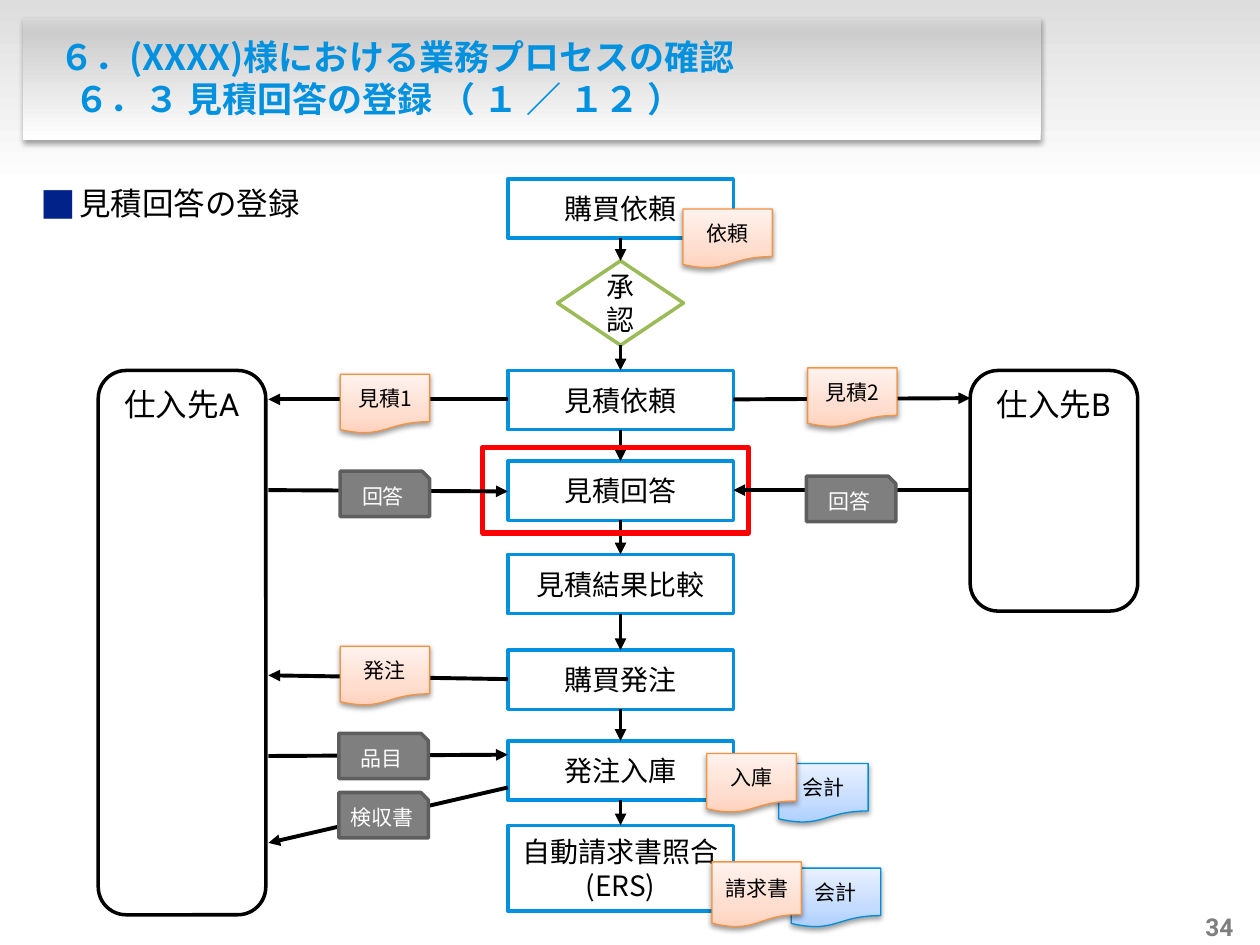
from lxml import etree
from pptx import Presentation
from pptx.dml.color import RGBColor
from pptx.enum.shapes import MSO_CONNECTOR, MSO_SHAPE
from pptx.enum.text import MSO_ANCHOR, MSO_AUTO_SIZE, PP_ALIGN
from pptx.oxml.ns import qn
from pptx.util import Inches, Pt

RECT, ROUND = MSO_SHAPE.RECTANGLE, MSO_SHAPE.ROUNDED_RECTANGLE
DIAMOND, DOC = MSO_SHAPE.FLOWCHART_DECISION, MSO_SHAPE.FLOWCHART_DOCUMENT
SNIP, STRAIGHT = MSO_SHAPE.SNIP_1_RECTANGLE, MSO_CONNECTOR.STRAIGHT
LEFT, CENTER, RIGHT = PP_ALIGN.LEFT, PP_ALIGN.CENTER, PP_ALIGN.RIGHT
TOP, MIDDLE, BOTTOM = MSO_ANCHOR.TOP, MSO_ANCHOR.MIDDLE, MSO_ANCHOR.BOTTOM
NO_FIT = MSO_AUTO_SIZE.NONE

BLACK, WHITE = RGBColor(0, 0, 0), RGBColor(255, 255, 255)
BLUE, NAVY = RGBColor(0x01, 0x91, 0xDE), RGBColor(0x00, 0x22, 0x89)
GREEN, RED = RGBColor(0x9B, 0xBB, 0x59), RGBColor(255, 0, 0)
GRAY, DARK = RGBColor(0x7F, 0x7F, 0x7F), RGBColor(0x5E, 0x5E, 0x5E)
ORANGE, SKY = RGBColor(0xF6, 0x92, 0x40), RGBColor(0x00, 0x8E, 0xDA)
PEACH_STOPS = [(0, "FFD2BD"), (35, "FFDED0"), (100, "FFF2ED")]
SKY_STOPS = [(0, "ADCFFF"), (35, "C5DCFF"), (100, "E9F1FF")]
BACK_STOPS = [(0, "DDDDDD"), (100, "FFFFFF")]
BANNER_STOPS = [(0, "FFFFFF"), (89, "CCCCCC"), (100, "D9D9D9")]
JP, LATIN = "Noto Sans CJK JP", "Roboto"


def node(parent, tag, **attrs):
    """Append a drawing element and return it."""
    return etree.SubElement(parent, qn("a:" + tag), {k: str(v) for k, v in attrs.items()})


def write(tf, *paras, size=16, color=BLACK, bold=None, align=CENTER, anchor=MIDDLE,
          margins=(0.1, 0.05, 0.1, 0.05), wrap=True):
    """Fill a text frame with paragraphs, each a list of (text, font) runs."""
    tf.auto_size, tf.word_wrap, tf.vertical_anchor = NO_FIT, wrap, anchor
    tf.margin_left, tf.margin_top, tf.margin_right, tf.margin_bottom = map(Inches, margins)
    for i, runs in enumerate(paras):
        p = tf.paragraphs[0] if i == 0 else tf.add_paragraph()
        p.alignment = align
        for text, font in runs:
            r = p.add_run()
            r.text = text
            r.font.size, r.font.bold, r.font.name = Pt(size), bold, font
            r.font.color.rgb = color
            node(r.font._element, "ea", typeface=font)
    return tf


def shape(slide, kind, box, fill=None, line=None, width=2, stops=None, angle=270, shadow=None):
    """Add a preset shape with a plain or gradient fill."""
    sp = slide.shapes.add_shape(kind, *map(Inches, box))
    sp.shadow.inherit = False
    sp.fill.background()
    sp.line.fill.background()
    if fill is not None:
        sp.fill.solid()
        sp.fill.fore_color.rgb = fill
    if line is not None:
        sp.line.color.rgb, sp.line.width = line, Pt(width)
    pr = sp._element.spPr
    if stops:
        grad = etree.Element(qn("a:gradFill"), rotWithShape="1")
        gs = node(grad, "gsLst")
        for pos, color in stops:
            node(node(gs, "gs", pos=pos * 1000), "srgbClr", val=color)
        node(grad, "lin", ang=angle * 60000, scaled=0)
        pr.replace(pr.find(qn("a:noFill")), grad)
    if shadow:
        blur, dist, alpha = shadow
        outer = node(pr.find(qn("a:effectLst")), "outerShdw", blurRad=Pt(blur),
                     dist=Pt(dist), dir=5400000, rotWithShape=0)
        node(node(outer, "srgbClr", val="000000"), "alpha", val=alpha * 1000)
    return sp


def arrow(slide, x1, y1, x2, y2):
    """Draw a black arrow between two points."""
    cn = slide.shapes.add_connector(STRAIGHT, *map(Inches, (x1, y1, x2, y2)))
    cn.line.color.rgb, cn.line.width = BLACK, Pt(2.25)
    node(cn.line._get_or_add_ln(), "tailEnd", type="triangle")
    node(cn._element.spPr, "effectLst")


def document(slide, text, x, y, w=0.71, h=0.47, line=ORANGE, stops=PEACH_STOPS):
    """Add a shaded document symbol."""
    sp = shape(slide, DOC, (x, y, w, h), line=line, width=0.75, stops=stops, shadow=(3.1, 1.6, 38))
    write(sp.text_frame, [(text, JP)], size=12, margins=(0.05,) * 4)


def card(slide, text, x, y, w=0.71, h=0.36):
    """Add a gray card with a cut corner."""
    sp = shape(slide, SNIP, (x, y, w, h), fill=GRAY, line=DARK)
    write(sp.text_frame, [(text, JP)], size=12, color=WHITE, margins=(0.05,) * 4)


def place(slide, ph, box):
    """Move a placeholder to a box in front of the shapes drawn so far."""
    ph.left, ph.top, ph.width, ph.height = map(Inches, box)
    slide.shapes._spTree.append(ph._element)


def header(slide, x, y, w, h):
    """Draw the backdrop, the banner and the title."""
    shape(slide, RECT, (x, y, w, h), stops=BACK_STOPS, angle=90)
    shape(slide, RECT, (x + 0.18, y + 0.14, 8.08, 0.97), stops=BANNER_STOPS, shadow=(3.1, 1.8, 35))
    title = slide.shapes.title
    place(slide, title, (x + 0.28, y + 0.24, 7.86, 0.75))
    tf = write(title.text_frame, [("６．(XXXX)様における業務プロセスの確認", JP)],
               [("６．３ 見積回答の登録 （ １ ／ １２ ）", JP)],
               size=20, color=BLUE, bold=True, align=LEFT, margins=(0, 0.05, 0.05, 0.05))
    for p, indent in zip(tf.paragraphs, (0.19, 0.31)):
        p._p.get_or_add_pPr().set("marL", str(Inches(indent)))


def topic(slide, x, y, w, h):
    """Fill the body with the square-bulleted topic."""
    body = slide.placeholders[1]
    place(slide, body, (x, y, w, h))
    tf = write(body.text_frame, [("見積回答の登録", JP)], size=18, align=LEFT, anchor=TOP)
    p = tf.paragraphs[0]
    p.line_spacing, p.space_before = 1.5, Pt(3.6)
    pr = p._p.get_or_add_pPr()
    pr.set("marL", str(Inches(0.31)))
    pr.set("indent", str(-Inches(0.31)))
    node(node(pr, "buClr"), "srgbClr", val=str(NAVY))
    node(pr, "buSzPct", val=113000)
    node(pr, "buFont", typeface=JP)
    node(pr, "buChar", char="■")


def process(slide, x, y, w):
    """Draw the column of steps joined by arrows."""
    steps = [(["購買依頼"], 0, 0.47), (["承認"], 0.65, 0.67), (["見積依頼"], 1.52, 0.47),
             (["見積回答"], 2.24, 0.47), (["見積結果比較"], 2.98, 0.47),
             (["購買発注"], 3.74, 0.47), (["発注入庫"], 4.46, 0.47),
             (["自動請求書照合", "(ERS)"], 5.13, 0.68)]
    mid = x + w / 2
    for lines, dy, h in steps:
        if lines == ["承認"]:
            sp = shape(slide, DIAMOND, (mid - 0.5, y + dy, 1, h), WHITE, GREEN)
        else:
            sp = shape(slide, RECT, (x, y + dy, w, h), WHITE, BLUE)
        write(sp.text_frame, *[[(text, JP)] for text in lines])
    for (_, dy, h), (_, below, _) in zip(steps, steps[1:]):
        arrow(slide, mid, y + dy + h, mid, y + below)
    document(slide, "依頼", x + 1.39, y + 0.24)
    for label, dx, dy, h, back_dx, back_dy in [("入庫", 1.58, 4.56, 0.47, 2.15, 4.64),
                                               ("請求書", 1.62, 5.42, 0.52, 2.25, 5.47)]:
        document(slide, "会計", x + back_dx, y + back_dy, line=SKY, stops=SKY_STOPS)
        document(slide, label, x + dx, y + dy, h=h)
    shape(slide, RECT, (x - 0.2, y + 2.13, 2.11, 0.68), line=RED, width=3)


def supplier(slide, x, y, w, h, letter, near, far, flows):
    """Draw a supplier and the labelled arrows between it and the process."""
    sp = shape(slide, ROUND, (x, y, w, h), WHITE, BLACK)
    write(sp.text_frame, [("仕入先", JP), (letter, LATIN)], size=18, anchor=TOP)
    for label, symbol, outgoing, near_dy, far_dy, dx, dy in flows:
        ends = [(x + near, y + near_dy), (x + far, y + far_dy)]
        start, end = ends if outgoing else ends[::-1]
        arrow(slide, *start, *end)
        symbol(slide, label, x + dx, y + dy)


def page_number(slide, x, y, w, h):
    """Write the page number."""
    tb = slide.shapes.add_textbox(*map(Inches, (x, y, w, h)))
    write(tb.text_frame, [("34", LATIN)], size=14, color=GRAY, bold=True, align=RIGHT,
          anchor=BOTTOM, margins=(0,) * 4, wrap=False)


prs = Presentation()
prs.slide_width, prs.slide_height = Inches(10), Inches(7.5)
slide = prs.slides.add_slide(prs.slide_layouts[1])
header(slide, 0, 0, 10, 1.47)
topic(slide, 0.22, 1.26, 9.65, 5.74)
process(slide, 4.03, 1.42, 1.79)
supplier(slide, 0.78, 2.94, 1.33, 4.32, "A", 1.35, 3.25, [
    ("見積1", document, False, 0.23, 0.23, 1.92, 0.03),
    ("回答", card, True, 0.95, 0.96, 1.92, 0.8),
    ("発注", document, False, 2.42, 2.45, 1.92, 2.19),
    ("品目", card, True, 3.06, 3.05, 1.91, 2.88),
    ("検収書", card, False, 3.75, 3.31, 1.91, 3.35)])
supplier(slide, 7.7, 2.94, 1.33, 1.91, "B", 0, -1.88, [
    ("見積2", document, False, 0.22, 0.23, -1.29, -0.02),
    ("回答", card, True, 0.95, 0.95, -1.3, 0.84)])
for sp in slide.shapes:
    if sp.name.startswith("Rounded"):
        sp.text_frame.margin_top = Inches(0.05)
page_number(slide, 9.46, 7.23, 0.33, 0.24)
prs.save("out.pptx")
